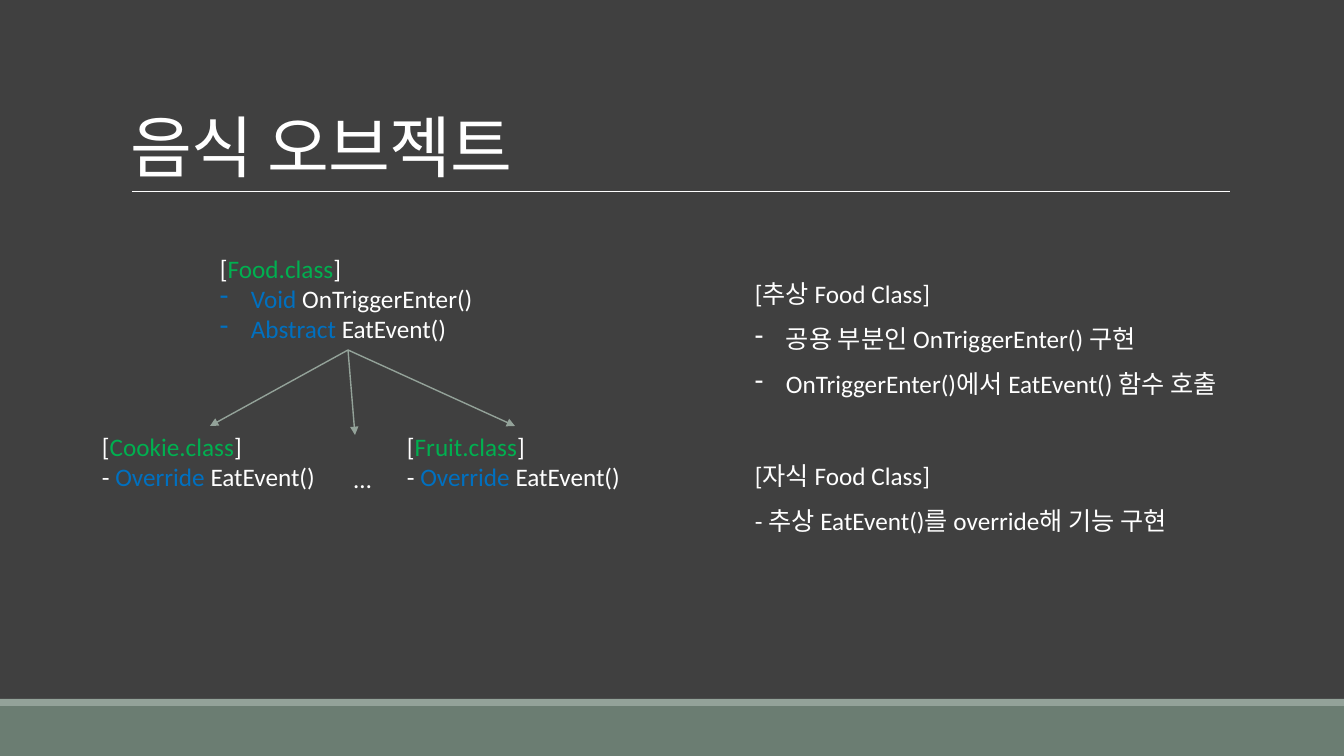
from dataclasses import dataclass

from lxml import etree
from pptx import Presentation, util as u
from pptx.dml.color import RGBColor
from pptx.enum import shapes, text
from pptx.oxml import ns

COLORS = {
    "background": "404040",
    "bar": "6B7D72",
    "accent": "93A299",
    "text": "FFFFFF",
    "class": "00B050",
    "keyword": "0070C0",
}
FONT = "Calibri"
EMU_PER_PX = 914400 / 100.8
INDENT = 31


@dataclass(frozen=True)
class Run:
    text: str
    color: str = "text"


@dataclass(frozen=True)
class Para:
    runs: tuple[Run, ...]
    bullet: bool = False
    space_before: int = 0


@dataclass(frozen=True)
class Box:
    x: int
    y: int
    w: int
    h: int
    paras: tuple[Para, ...]
    size: int = 18
    line_spacing: float = 1.0
    wrap: bool = False
    bottom: bool = False
    tracking: int = 0


@dataclass(frozen=True)
class Band:
    y: int
    h: int
    color: str


@dataclass(frozen=True)
class Line:
    x1: int
    y1: int
    x2: int
    y2: int
    color: str = "accent"
    width: float = 1.0
    arrow: bool = True


def px(n: int) -> u.Emu:
    return u.Emu(round(n * EMU_PER_PX))


def rgb(name: str) -> RGBColor:
    return RGBColor.from_string(COLORS[name])


def plain(content: str, bullet: bool = False, space_before: int = 0) -> Para:
    return Para((Run(content),), bullet, space_before)


def class_name(name: str) -> Para:
    return Para((Run("["), Run(name, "class"), Run("]")))


def method(keyword: str, name: str) -> Para:
    return Para((Run(f"{keyword} ", "keyword"), Run(name)), bullet=True)


def child_class(x: int, name: str) -> Box:
    override = Para((Run("- "), Run("Override ", "keyword"), Run("EatEvent()")))
    return Box(x, 426, 236, 72, (class_name(name), override))


def add_band(s, band: Band) -> None:
    sp = s.shapes.add_shape(
        shapes.MSO_SHAPE.RECTANGLE, 0, px(band.y), px(WIDTH), px(band.h))
    sp.shadow.inherit = False
    sp.fill.solid()
    sp.fill.fore_color.rgb = rgb(band.color)
    sp.line.fill.background()


def add_line(s, line: Line) -> None:
    sp = s.shapes.add_connector(
        shapes.MSO_CONNECTOR.STRAIGHT,
        px(line.x1), px(line.y1), px(line.x2), px(line.y2))
    sp.line.color.rgb = rgb(line.color)
    sp.line.width = u.Pt(line.width)
    if line.arrow:
        etree.SubElement(sp.line._get_or_add_ln(), ns.qn("a:tailEnd"), type="triangle")
    etree.SubElement(sp._element.spPr, ns.qn("a:effectLst"))


def add_bullet(p) -> None:
    pPr = p._p.get_or_add_pPr()
    pPr.set("marL", str(px(INDENT)))
    pPr.set("indent", str(-px(INDENT)))
    etree.SubElement(pPr, ns.qn("a:buChar"), char="-")


def add_box(s, box: Box) -> None:
    sp = s.shapes.add_textbox(px(box.x), px(box.y), px(box.w), px(box.h))
    tf = sp.text_frame
    tf.word_wrap = box.wrap
    if box.bottom:
        tf.vertical_anchor = text.MSO_ANCHOR.BOTTOM
    for i, para in enumerate(box.paras):
        p = tf.add_paragraph() if i else tf.paragraphs[0]
        p.line_spacing = box.line_spacing
        p.space_before = u.Pt(para.space_before)
        if para.bullet:
            add_bullet(p)
        for run in para.runs:
            r = p.add_run()
            r.text = run.text
            r.font.name = FONT
            r.font.size = u.Pt(box.size)
            r.font.color.rgb = rgb(run.color)
            if box.tracking:
                r._r.get_or_add_rPr().set("spc", str(box.tracking))


WIDTH, HEIGHT = 1344, 756
BANDS = (Band(706, 50, "bar"), Band(699, 7, "accent"))
TITLE_RULE = Line(132, 191, 1230, 191, "text", 0.5, arrow=False)
ARROWS = tuple(
    Line(348, 350, x, y) for x, y in ((210, 426), (515, 426), (355, 435)))
BOXES = (
    Box(121, 31, 1109, 160, (plain("음식 오브젝트"),), size=48,
        line_spacing=0.85, wrap=True, bottom=True, tracking=-50),
    Box(210, 248, 276, 102, (
        class_name("Food.class"),
        method("Void", "OnTriggerEnter()"),
        method("Abstract", "EatEvent()"))),
    child_class(92, "Cookie.class"),
    child_class(397, "Fruit.class"),
    Box(344, 458, 38, 40, (plain("…"),)),
    Box(745, 258, 500, 280, (
        plain("[추상 Food Class]"),
        plain("공용 부분인 OnTriggerEnter() 구현", bullet=True),
        plain("OnTriggerEnter()에서 EatEvent() 함수 호출", bullet=True),
        plain("[자식 Food Class]", space_before=33),
        plain("- 추상 EatEvent()를 override해 기능 구현")),
        line_spacing=1.5, wrap=True),
)


def main() -> None:
    prs = Presentation()
    prs.slide_width, prs.slide_height = px(WIDTH), px(HEIGHT)
    s = prs.slides.add_slide(prs.slide_layouts[6])
    s.background.fill.solid()
    s.background.fill.fore_color.rgb = rgb("background")
    for band in BANDS:
        add_band(s, band)
    for line in (TITLE_RULE, *ARROWS):
        add_line(s, line)
    for box in BOXES:
        add_box(s, box)
    prs.save("out.pptx")


if __name__ == "__main__":
    main()
